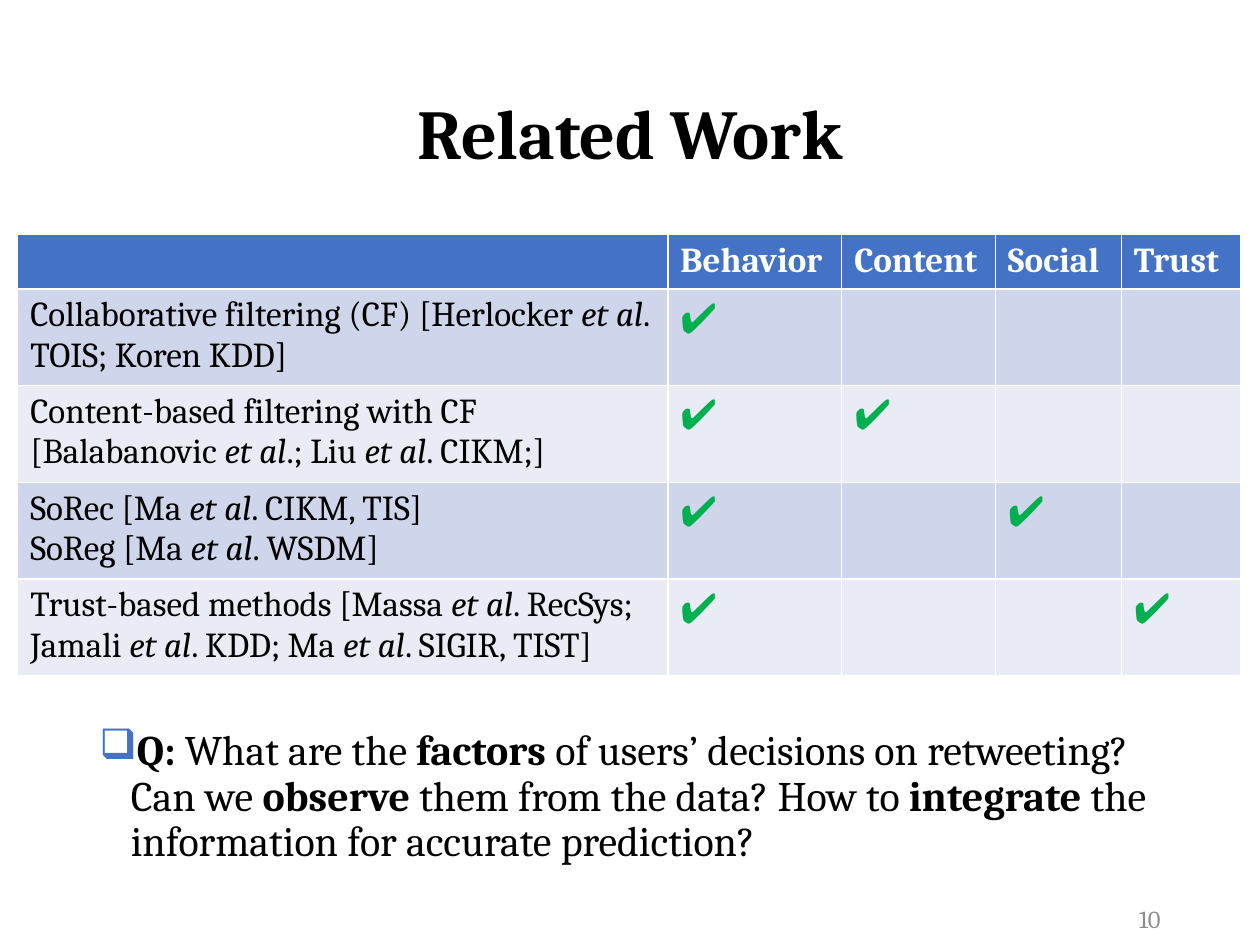
from dataclasses import dataclass

from lxml.etree import SubElement
from pptx import Presentation
from pptx.dml.color import RGBColor
from pptx.enum.text import MSO_ANCHOR, PP_ALIGN
from pptx.oxml.ns import qn
from pptx.util import Inches, Pt


@dataclass(frozen=True)
class Theme:
    face: str = "Cambria"
    ink: str = "000000"
    pale: str = "FFFFFF"
    grey: str = "8C8C8C"
    head: str = "4472C4"
    tick: str = "00B050"
    bands: tuple[str, str] = ("CFD5EA", "E9EBF5")
    title: int = 40
    body: int = 24
    cell: int = 20
    foot: int = 14


@dataclass(frozen=True)
class Style:
    size: int
    color: str
    bold: bool = False
    mark: str = "bold"


@dataclass(frozen=True)
class Box:
    left: float
    top: float
    width: float
    height: float
    text: str
    style: Style
    align: PP_ALIGN = PP_ALIGN.LEFT
    anchor: MSO_ANCHOR = MSO_ANCHOR.TOP
    space: float = 1.0


@dataclass(frozen=True)
class Method:
    lines: tuple[str, ...]
    ticks: tuple[str, ...]


THEME = Theme()
TITLE = Style(THEME.title, THEME.ink, True)
BODY = Style(THEME.body, THEME.ink)
FOOT = Style(THEME.foot, THEME.grey)
HEAD = Style(THEME.cell, THEME.pale, True)
CITE = Style(THEME.cell, THEME.ink, mark="italic")
TICK = Style(THEME.body, THEME.tick)

FACTORS = {"Behavior": 1.38, "Content": 1.22, "Social": 1.0, "Trust": 0.95}
METHODS = (
    Method(("Collaborative filtering (CF) [Herlocker *et al*. TOIS; Koren KDD]",),
           ("Behavior",)),
    Method(("Content-based filtering with CF [Balabanovic *et al*.; Liu *et al*. CIKM;]",),
           ("Behavior", "Content")),
    Method(("SoRec [Ma *et al*. CIKM, TIS]", "SoReg [Ma *et al*. WSDM]"),
           ("Behavior", "Social")),
    Method(("Trust-based methods [Massa *et al*. RecSys; Jamali *et al*. KDD; "
            "Ma *et al*. SIGIR, TIST]",), ("Behavior", "Trust")),
)
QUERY = ("*Q: *What are the *factors *of users’ decisions on retweeting? Can we "
         "*observe *them from the data? How to *integrate *the information "
         "for accurate prediction?")


def assign(target: object, values: dict[str, object]) -> None:
    """Set each named attribute on the target."""
    for name, value in values.items():
        setattr(target, name, value)


def write(para, text: str, style: Style) -> None:
    """Add runs to a paragraph, with the parts between asterisks marked."""
    for count, part in enumerate(text.split("*")):
        if not part:
            continue
        run = para.add_run()
        run.text = part
        form = {"name": THEME.face, "size": Pt(style.size), "bold": style.bold}
        if count % 2:
            form[style.mark] = True
        assign(run.font, form)
        run.font.color.rgb = RGBColor.from_string(style.color)


def place(slide, box: Box):
    """Draw a text box and return its paragraph."""
    shape = slide.shapes.add_textbox(
        *map(Inches, (box.left, box.top, box.width, box.height)))
    frame = shape.text_frame
    assign(frame, {"word_wrap": True, "vertical_anchor": box.anchor})
    para = frame.paragraphs[0]
    assign(para, {"alignment": box.align, "line_spacing": box.space})
    write(para, box.text, box.style)
    return para


def bullet(para, char: str, color: str, indent: float) -> None:
    """Give a paragraph a coloured bullet and a hanging indent."""
    props = para._p.get_or_add_pPr()
    props.set("marL", str(Inches(indent)))
    props.set("indent", str(Inches(-indent)))
    tint = SubElement(props, qn("a:buClr"))
    SubElement(tint, qn("a:srgbClr")).set("val", color)
    SubElement(props, qn("a:buChar")).set("char", char)


def fill(cell, lines: tuple[str, ...], style: Style, color: str) -> None:
    """Colour a table cell and write its lines."""
    cell.fill.solid()
    cell.fill.fore_color.rgb = RGBColor.from_string(color)
    frame = cell.text_frame
    for count, line in enumerate(lines):
        para = frame.add_paragraph() if count else frame.paragraphs[0]
        write(para, line, style)
    if not any(lines):
        frame.paragraphs[0].font.size = Pt(style.size)


def compare(slide) -> None:
    """Draw the table of methods against factors."""
    widths = (5.16, *FACTORS.values())
    heights = (0.41, *[0.74] * len(METHODS))
    frame = slide.shapes.add_table(
        len(heights), len(widths), Inches(0.14), Inches(1.86),
        Inches(sum(widths)), Inches(sum(heights)))
    table = frame.table
    for col, width in zip(table.columns, widths):
        col.width = Inches(width)
    for row, height in zip(table.rows, heights):
        row.height = Inches(height)
    for col, name in enumerate(("", *FACTORS)):
        fill(table.cell(0, col), (name,), HEAD, THEME.head)
    for row, item in enumerate(METHODS, 1):
        band = THEME.bands[(row - 1) % 2]
        fill(table.cell(row, 0), item.lines, CITE, band)
        for col, name in enumerate(FACTORS, 1):
            sign = "✔" if name in item.ticks else ""
            fill(table.cell(row, col), (sign,), TICK, band)


def main() -> None:
    """Build and save the slide."""
    deck = Presentation()
    assign(deck, {"slide_width": Inches(10), "slide_height": Inches(7.5)})
    slide = deck.slides.add_slide(deck.slide_layouts[6])
    place(slide, Box(0.69, 0.67, 8.62, 0.84, "Related Work", TITLE,
                     PP_ALIGN.CENTER, MSO_ANCHOR.MIDDLE, 0.9))
    query = place(slide, Box(0.69, 5.74, 8.62, 1.31, QUERY, BODY, space=0.9))
    bullet(query, "❑", THEME.head, 0.25)
    place(slide, Box(7.06, 7.17, 2.25, 0.25, "10", FOOT,
                     PP_ALIGN.RIGHT, MSO_ANCHOR.MIDDLE))
    compare(slide)
    deck.save("out.pptx")


if __name__ == "__main__":
    main()
